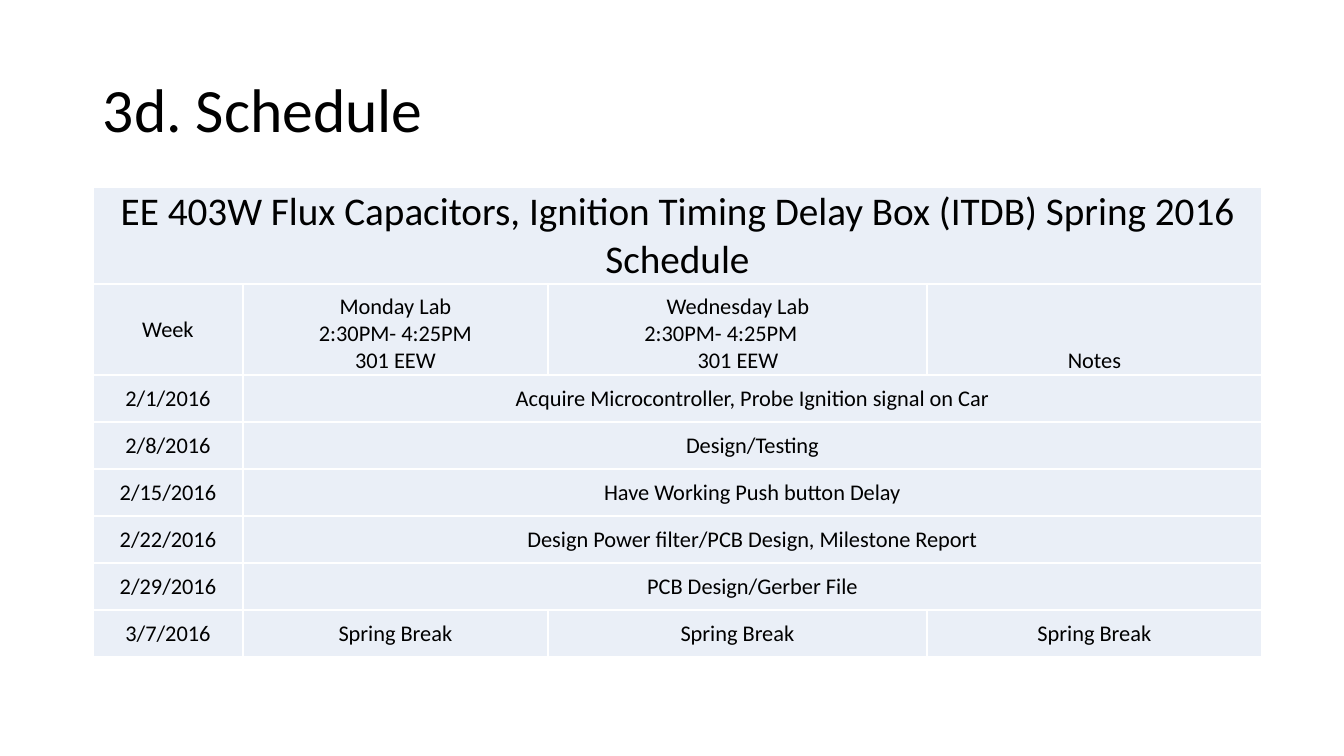
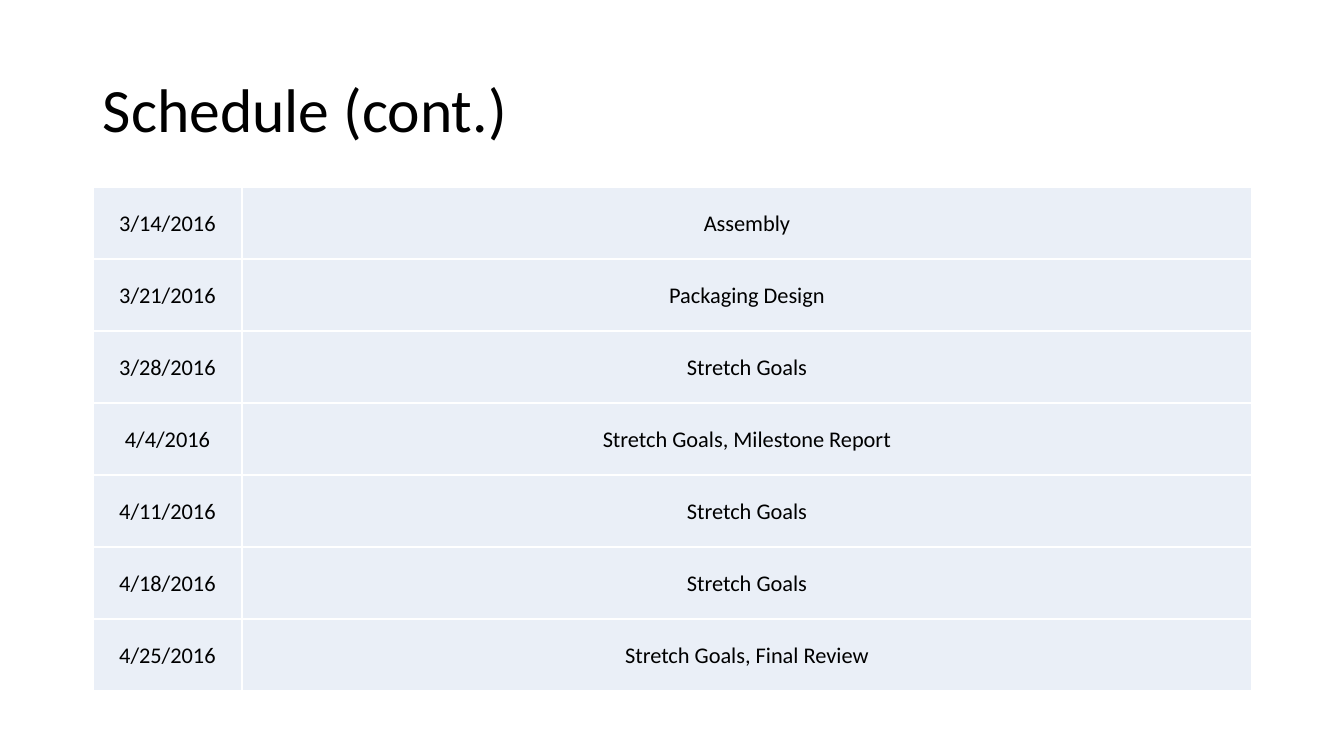
import dataclasses
import typing

import lxml.etree
import pptx
import pptx.dml.color
import pptx.enum.text
import pptx.oxml.ns
import pptx.util

# Shared style
EMU_PER_PIXEL = 914400 / 100.8
COLORS = {"text": "000000", "cell": "EAEFF7", "border": "FFFFFF"}
FONT = "Calibri"
TITLE_BOX = (93, 40, 1159, 146)
TABLE_LEFT, TABLE_TOP = 93, 187
WEDNESDAY_SHIFT = 34
MIDDLE = pptx.enum.text.MSO_ANCHOR.MIDDLE
BOTTOM = pptx.enum.text.MSO_ANCHOR.BOTTOM
LEFT = pptx.enum.text.PP_ALIGN.LEFT
CENTER = pptx.enum.text.PP_ALIGN.CENTER


@dataclasses.dataclass(frozen=True)
class Entry:
    """One table cell; the last entry of a row spans the remaining columns."""
    lines: tuple[str, ...]
    size: int = 16
    anchor: typing.Any = MIDDLE
    right_inset: int = 1
    indents: tuple[int, ...] = ()


@dataclasses.dataclass(frozen=True)
class Schedule:
    title: str
    columns: list[int]
    row_heights: list[int]
    rows: list[list[Entry]]


def pixels(length: float) -> pptx.util.Emu:
    return pptx.util.Emu(round(length * EMU_PER_PIXEL))


def color(name: str) -> pptx.dml.color.RGBColor:
    return pptx.dml.color.RGBColor.from_string(COLORS[name])


def write_text(frame, lines: typing.Sequence[str], *, size: int, align=CENTER,
               spacing: float = 1.0, indents: typing.Sequence[int] = ()) -> None:
    for index, line in enumerate(lines):
        paragraph = frame.paragraphs[0] if index == 0 else frame.add_paragraph()
        paragraph.alignment = align
        paragraph.line_spacing = spacing
        if indents:
            properties = paragraph._p.get_or_add_pPr()
            properties.set("marL", str(pixels(indents[index])))
        run = paragraph.add_run()
        run.text = line
        run.font.name = FONT
        run.font.size = pptx.util.Pt(size)
        run.font.color.rgb = color("text")


def style_cell(cell) -> None:
    properties = cell._tc.get_or_add_tcPr()
    for side in ("a:lnL", "a:lnR", "a:lnT", "a:lnB"):
        line = lxml.etree.SubElement(properties, pptx.oxml.ns.qn(side),
                                     w=str(pptx.util.Pt(1)))
        fill = lxml.etree.SubElement(line, pptx.oxml.ns.qn("a:solidFill"))
        lxml.etree.SubElement(fill, pptx.oxml.ns.qn("a:srgbClr"), val=COLORS["border"])
    cell.fill.solid()
    cell.fill.fore_color.rgb = color("cell")


def fill_cell(cell, entry: Entry) -> None:
    cell.margin_left = cell.margin_top = pixels(1)
    cell.margin_right = pixels(entry.right_inset)
    cell.margin_bottom = 0
    cell.vertical_anchor = entry.anchor
    write_text(cell.text_frame, entry.lines, size=entry.size, indents=entry.indents)


def add_title(slide, title: str) -> None:
    shape = slide.shapes.add_textbox(*map(pixels, TITLE_BOX))
    shape.text_frame.word_wrap = True
    shape.text_frame.vertical_anchor = MIDDLE
    write_text(shape.text_frame, [title], size=44, align=LEFT, spacing=0.9)


def add_schedule_table(slide, schedule: Schedule) -> None:
    columns, heights = schedule.columns, schedule.row_heights
    table = slide.shapes.add_table(
        len(heights), len(columns), pixels(TABLE_LEFT), pixels(TABLE_TOP),
        pixels(sum(columns)), pixels(sum(heights))).table
    table.first_row = table.horz_banding = False
    for column, width in zip(table.columns, columns):
        column.width = pixels(width)
    for row, height in zip(table.rows, heights):
        row.height = pixels(height)
    for cell in table.iter_cells():
        style_cell(cell)
    for row_index, entries in enumerate(schedule.rows):
        if len(entries) < len(columns):
            first = table.cell(row_index, len(entries) - 1)
            first.merge(table.cell(row_index, len(columns) - 1))
        for column_index, entry in enumerate(entries):
            fill_cell(table.cell(row_index, column_index), entry)


def week(*texts: str) -> list[Entry]:
    return [Entry((text,)) for text in texts]


# Content
SCHEDULES = [
    Schedule(
        "3d. Schedule", [150, 305, 379, 335], [97, 91] + [47] * 6,
        [
            [Entry(("EE 403W Flux Capacitors, Ignition Timing Delay Box (ITDB) "
                    "Spring 2016 Schedule",), size=28)],
            [
                Entry(("Week",)),
                Entry(("Monday Lab", "2:30PM- 4:25PM", "301 EEW"), anchor=BOTTOM),
                Entry(("Wednesday Lab", "2:30PM- 4:25PM", "301 EEW"), anchor=BOTTOM,
                      right_inset=WEDNESDAY_SHIFT,
                      indents=(WEDNESDAY_SHIFT, 0, WEDNESDAY_SHIFT)),
                Entry(("Notes",), anchor=BOTTOM),
            ],
            week("2/1/2016", "Acquire Microcontroller, Probe Ignition signal on Car"),
            week("2/8/2016", "Design/Testing"),
            week("2/15/2016", "Have Working Push button Delay"),
            week("2/22/2016", "Design Power filter/PCB Design, Milestone Report"),
            week("2/29/2016", "PCB Design/Gerber File"),
            week("3/7/2016", *["Spring Break"] * 3),
        ]),
    Schedule(
        "Schedule (cont.)", [149, 1010], [72] * 7,
        [
            week("3/14/2016", "Assembly"),
            week("3/21/2016", "Packaging Design"),
            week("3/28/2016", "Stretch Goals"),
            week("4/4/2016", "Stretch Goals, Milestone Report"),
            week("4/11/2016", "Stretch Goals"),
            week("4/18/2016", "Stretch Goals"),
            week("4/25/2016", "Stretch Goals, Final Review"),
        ]),
]

# Build
presentation = pptx.Presentation()
presentation.slide_width = pixels(1344)
presentation.slide_height = pixels(756)
for schedule in SCHEDULES:
    slide = presentation.slides.add_slide(presentation.slide_layouts[6])
    add_title(slide, schedule.title)
    add_schedule_table(slide, schedule)
presentation.save("out.pptx")
